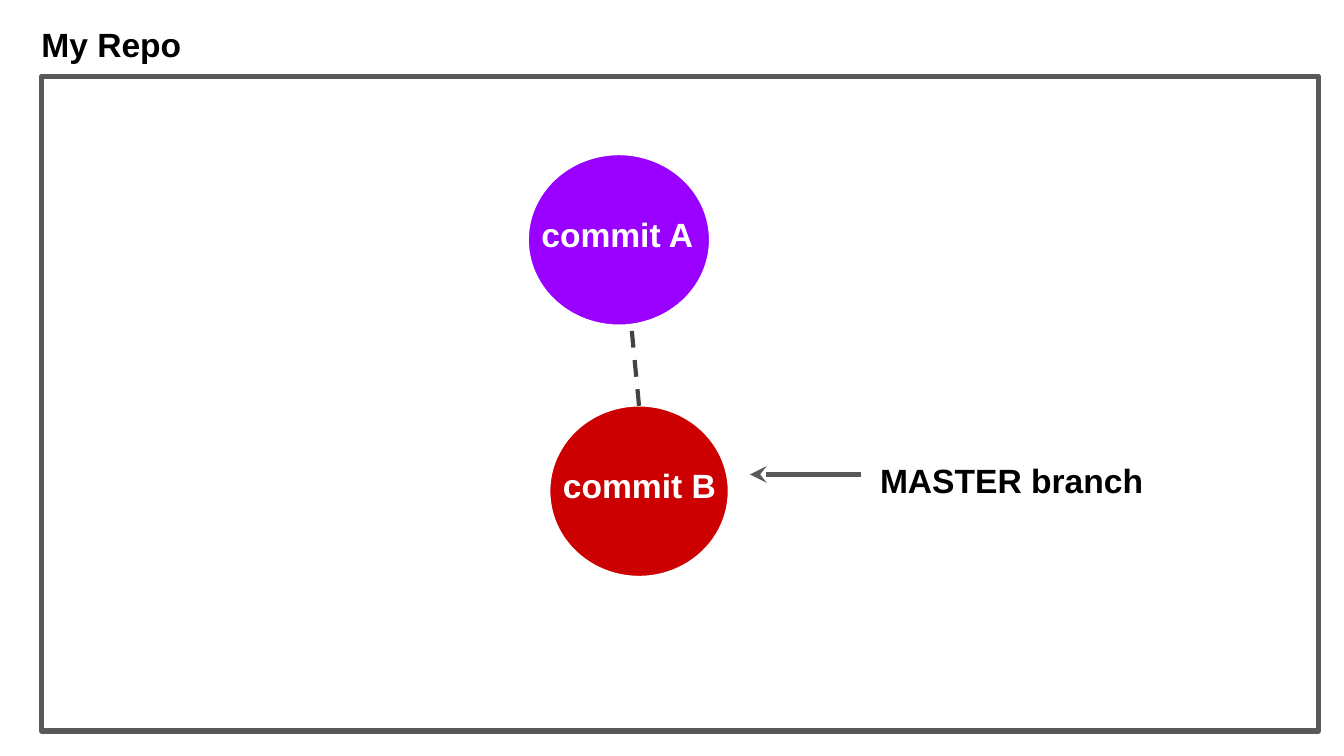
from dataclasses import dataclass

from lxml import etree
from pptx import Presentation
from pptx.dml.color import RGBColor
from pptx.enum.dml import MSO_LINE
from pptx.enum.shapes import MSO_CONNECTOR, MSO_SHAPE
from pptx.enum.text import MSO_ANCHOR, PP_ALIGN
from pptx.oxml.ns import qn
from pptx.util import Inches, Pt

RECTANGLE, ELLIPSE = MSO_SHAPE.RECTANGLE, MSO_SHAPE.OVAL
STRAIGHT = MSO_CONNECTOR.STRAIGHT
DASH = MSO_LINE.DASH
LEFT, TOP = PP_ALIGN.LEFT, MSO_ANCHOR.TOP


@dataclass(frozen=True)
class Theme:
    font: str = "Arial"
    text_size: float = 18
    thick: float = 3
    medium: float = 2.25
    thin: float = 0.75
    white: str = "FFFFFF"
    black: str = "000000"
    frame: str = "595959"
    link: str = "434343"
    purple: str = "9900FF"
    red: str = "CC0000"


THEME = Theme()
SLIDE_WIDTH = 10
SLIDE_HEIGHT = SLIDE_WIDTH * 9 / 16
LABEL_HEIGHT = 0.6


def style_line(line, color, width):
    line.color.rgb = RGBColor.from_string(color)
    line.width = Pt(width)


def add_outlined_shape(shapes, kind, box, fill, line_color, line_width):
    shape = shapes.add_shape(kind, *map(Inches, box))
    shape.shadow.inherit = False
    shape.fill.solid()
    shape.fill.fore_color.rgb = RGBColor.from_string(fill)
    style_line(shape.line, line_color, line_width)


def add_label(shapes, left, top, width, text, color):
    label = shapes.add_textbox(*map(Inches, (left, top, width, LABEL_HEIGHT)))
    frame = label.text_frame
    margins = dict.fromkeys(
        ("margin_left", "margin_top", "margin_right", "margin_bottom"), Inches(0.1))
    for name, value in {**margins, "word_wrap": True, "vertical_anchor": TOP}.items():
        setattr(frame, name, value)
    paragraph = frame.paragraphs[0]
    paragraph.alignment = LEFT
    run = paragraph.add_run()
    run.text = text
    font_format = {"name": THEME.font, "size": Pt(THEME.text_size), "bold": True}
    for name, value in font_format.items():
        setattr(run.font, name, value)
    run.font.color.rgb = RGBColor.from_string(color)


def add_line(shapes, start, end, color, width):
    connector = shapes.add_connector(STRAIGHT, *map(Inches, (*start, *end)))
    style_line(connector.line, color, width)
    etree.SubElement(connector._element.spPr, qn("a:effectLst"))
    return connector


def add_repository(shapes, box):
    """Draw the repository frame with its title above the top edge."""
    left, top, _, _ = box
    add_outlined_shape(shapes, RECTANGLE, box, THEME.white, THEME.frame, THEME.thick)
    add_label(shapes, left - 0.1, top - 0.49, 3.34, "My Repo", THEME.black)


def add_commit(shapes, box, text, color):
    left, top, width, _ = box
    add_outlined_shape(shapes, ELLIPSE, box, color, THEME.white, THEME.thin)
    add_label(shapes, left, top + 0.34, width + 0.12, text, THEME.white)


def add_parent_link(shapes, child_box, parent_box):
    """Dash a line from the top of a commit to just inside its parent."""
    left, top, width, _ = child_box
    parent_left, parent_top, parent_width, _ = parent_box
    start = (left + width / 2, top)
    end = (parent_left + parent_width / 2 + 0.06, parent_top + 0.94)
    link = add_line(shapes, start, end, THEME.link, THEME.medium)
    link.line.dash_style = DASH


def add_branch_pointer(shapes, box, text):
    """Draw an arrow pointing left, followed by the branch name."""
    left, top, width, _ = box
    label_left = left + 0.87
    add_label(shapes, label_left, top, left + width - label_left, text, THEME.black)
    arrow_y = top + 0.21
    arrow = add_line(shapes, (left + 0.83, arrow_y), (left, arrow_y),
                     THEME.frame, THEME.thick)
    etree.SubElement(arrow.line._get_or_add_ln(), qn("a:tailEnd"), type="stealth")


def main():
    presentation = Presentation()
    presentation.slide_width = Inches(SLIDE_WIDTH)
    presentation.slide_height = Inches(SLIDE_HEIGHT)
    slide = presentation.slides.add_slide(presentation.slide_layouts[6])
    shapes = slide.shapes

    commit_a = (3.93, 1.15, 1.35, 1.27)
    commit_b = (4.09, 3.02, 1.33, 1.27)
    add_repository(shapes, (0.31, 0.57, 9.5, 4.87))
    add_commit(shapes, commit_b, "commit B", THEME.red)
    add_parent_link(shapes, commit_b, commit_a)
    add_commit(shapes, commit_a, "commit A", THEME.purple)
    add_branch_pointer(shapes, (5.58, 3.32, 3.2, LABEL_HEIGHT), "MASTER branch")

    presentation.save("out.pptx")


if __name__ == "__main__":
    main()
